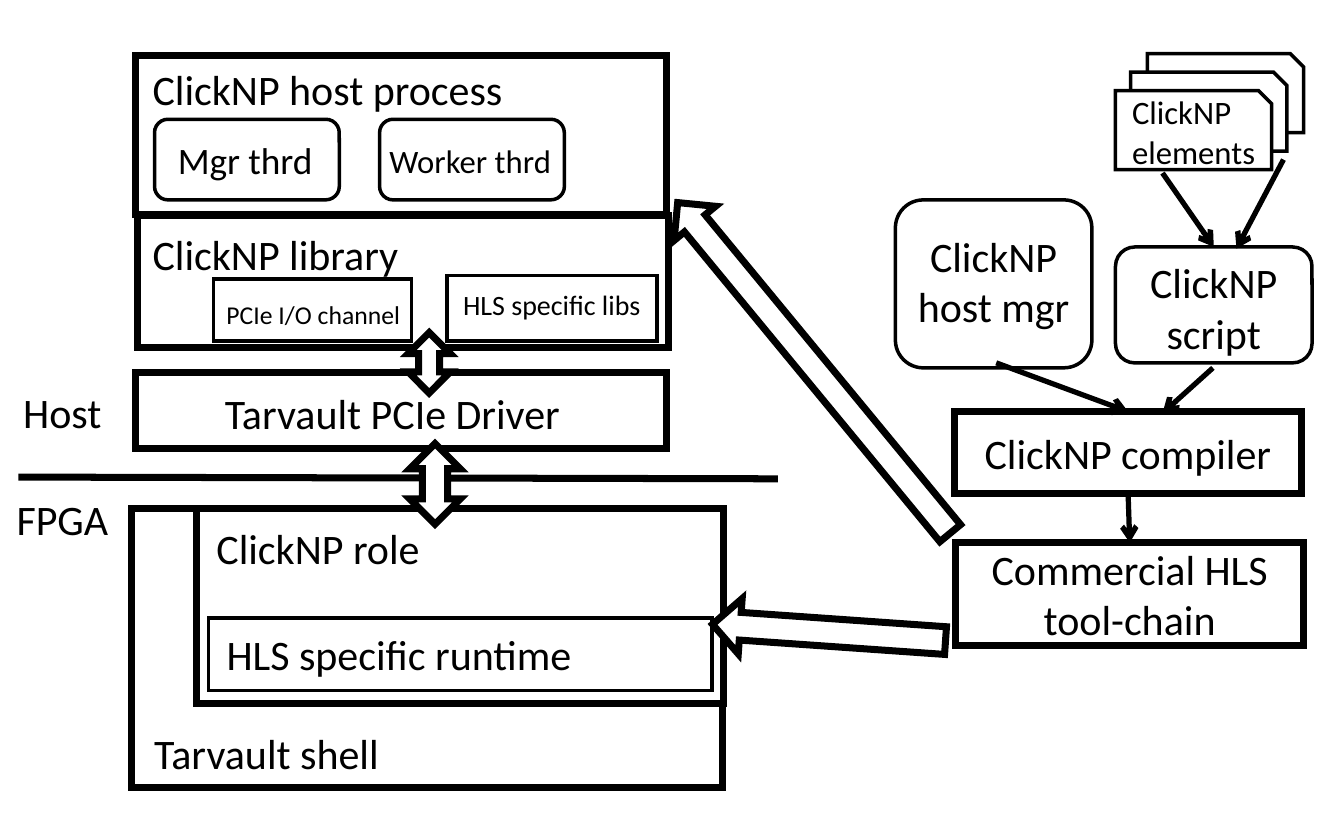
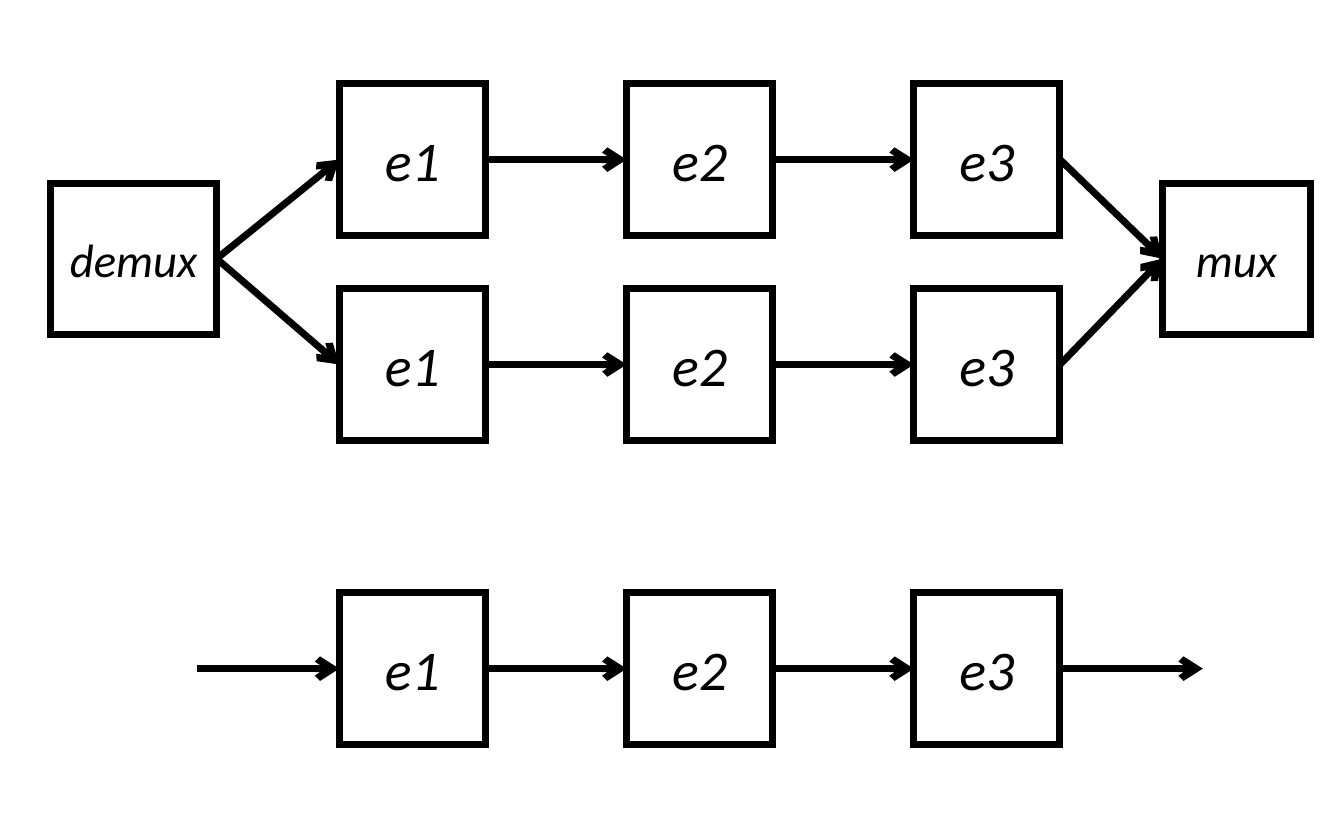
from lxml.etree import SubElement
from pptx import Presentation
from pptx.dml.color import RGBColor
from pptx.enum.shapes import MSO_CONNECTOR as CONNECTOR, MSO_SHAPE as SHAPE
from pptx.enum.text import MSO_ANCHOR as ANCHOR, MSO_AUTO_SIZE as AUTO_SIZE, PP_ALIGN as ALIGN
from pptx.oxml.ns import qn
from pptx.util import Pt

PX = 9144
INK = RGBColor.from_string("000000")
PAPER = RGBColor.from_string("FFFFFF")
FONT = "Calibri"
THICK, MEDIUM, THIN = 3, 2.25, 1.5
TOP, LEFT, BOTTOM, RIGHT = range(4)


def add_box(page, kind, frame, weight=None, text="", size=18, italic=False,
            align=ALIGN.CENTER, wrap=True):
    frame = [length * PX for length in frame]
    if kind is None:
        box = page.shapes.add_textbox(*frame)
        box.text_frame.auto_size = AUTO_SIZE.SHAPE_TO_FIT_TEXT
    else:
        box = page.shapes.add_shape(kind, *frame)
        box.shadow.inherit = False
        box.fill.solid()
        box.fill.fore_color.rgb = PAPER
        box.line.color.rgb = INK
        box.line.width = Pt(weight)
        SubElement(box._element.spPr.find(qn("a:ln")), qn("a:miter"), lim="800000")
        box.text_frame.vertical_anchor = ANCHOR.MIDDLE
    if text:
        box.text_frame.word_wrap = wrap
        box.text_frame.text = text
        para = box.text_frame.paragraphs[0]
        para.alignment = align
        font = para.runs[0].font
        font.name, font.size, font.italic = FONT, Pt(size), italic
        font.color.rgb = INK
    return box


def add_link(page, start, end, weight, arrow=True):
    start_joined, end_joined = (not isinstance(spot[0], int) for spot in (start, end))
    begin_point = (0, 0) if start_joined else start
    end_point = (0, 0) if end_joined else end
    link = page.shapes.add_connector(
        CONNECTOR.STRAIGHT, *[length * PX for length in begin_point + end_point])
    if start_joined:
        link.begin_connect(*start)
    if end_joined:
        link.end_connect(*end)
    link.line.color.rgb = INK
    link.line.width = Pt(weight)
    if arrow:
        SubElement(link._element.spPr.find(qn("a:ln")), qn("a:tailEnd"), type="arrow")
    SubElement(link._element.spPr, qn("a:effectLst"))


deck = Presentation()
deck.slide_width, deck.slide_height = 800 * PX, 500 * PX
blank = deck.slide_layouts[6]

page = deck.slides.add_slide(blank)
add_link(page, (11, 284), (463, 285), THICK, arrow=False)

for frame in [(78, 303, 352, 166), (117, 303, 314, 116), (81, 222, 316, 45),
              (82, 128, 316, 79), (81, 33, 316, 95)]:
    add_box(page, SHAPE.RECTANGLE, frame, THICK)
for left in (92, 226):
    add_box(page, SHAPE.ROUNDED_RECTANGLE, (left, 71, 110, 48), THIN)
for frame in [(244, 264, 30, 48), (243, 198, 25, 36)]:
    add_box(page, SHAPE.UP_DOWN_ARROW, frame, THICK)
for left, top in [(683, 32), (673, 43), (664, 54)]:
    add_box(page, SHAPE.SNIP_1_RECTANGLE, (left, top, 93, 47), THIN)
script = add_box(page, SHAPE.ROUNDED_RECTANGLE, (664, 147, 117, 69), THIN)
add_box(page, SHAPE.ROUNDED_RECTANGLE, (533, 119, 117, 100), THIN)
compiler = add_box(page, SHAPE.RECTANGLE, (568, 245, 207, 49), THICK, "ClickNP compiler")
toolchain = add_box(page, SHAPE.RECTANGLE, (569, 323, 207, 61), THICK,
                    "Commercial HLS tool-chain")
for frame in [(266, 164, 125, 39), (124, 368, 300, 43), (127, 166, 118, 37)]:
    add_box(page, SHAPE.RECTANGLE, frame, THIN)
for frame, angle in [((357, 203, 255, 32), 50.5), ((424, 360, 139, 33), 4)]:
    add_box(page, SHAPE.LEFT_ARROW, frame, THICK).rotation = angle

for text, size, frame in [
    ("Tarvault shell", 18, (82, 428, 160, 40)),
    ("ClickNP role", 18, (119, 306, 143, 40)),
    ("FPGA", 18, (0, 289, 75, 40)),
    ("Host", 18, (4, 225, 67, 40)),
    ("Tarvault PCIe Driver", 18, (124, 226, 226, 40)),
    ("ClickNP library", 18, (81, 131, 168, 40)),
    ("ClickNP host process", 18, (81, 33, 231, 40)),
    ("Mgr thrd", 16, (96, 77, 101, 37)),
    ("Worker thrd", 14, (222, 79, 117, 34)),
    ("HLS specific runtime", 18, (125, 369, 228, 40)),
    ("PCIe I/O channel", 11, (125, 173, 124, 29)),
]:
    add_box(page, None, frame, text=text, size=size, align=ALIGN.LEFT, wrap=False)

for text, size, frame, align in [
    ("ClickNP elements", 14, (664, 50, 104, 57), ALIGN.LEFT),
    ("ClickNP script", 18, (659, 148, 127, 71), ALIGN.CENTER),
    ("ClickNP host mgr", 18, (528, 132, 127, 71), ALIGN.CENTER),
    ("HLS specific libs", 12, (261, 166, 135, 30), ALIGN.CENTER),
]:
    add_box(page, None, frame, text=text, size=size, align=align)

for start, end in [
    ((692, 103), (script, TOP)),
    ((764, 95), (736, 148)),
    ((722, 219), (692, 246)),
    ((593, 216), (compiler, TOP)),
    ((compiler, BOTTOM), (toolchain, TOP)),
]:
    add_link(page, start, end, MEDIUM)

page = deck.slides.add_slide(blank)
demux = add_box(page, SHAPE.RECTANGLE, (30, 109, 99, 90), THICK, "demux", 20, True)
mux = add_box(page, SHAPE.RECTANGLE, (692, 109, 88, 90), THICK, "mux", 20, True)

for top, source, target in [
    (50, (demux, RIGHT), (mux, LEFT)),
    (172, (demux, RIGHT), (mux, LEFT)),
    (353, (117, 398), (716, 398)),
]:
    for column in range(3):
        element = add_box(page, SHAPE.RECTANGLE, (202 + 171 * column, top, 87, 90), THICK,
                          f"e{column + 1}", 24, True)
        add_link(page, source, (element, LEFT), THICK)
        source = (element, RIGHT)
    add_link(page, source, target, THICK)

deck.save("out.pptx")
